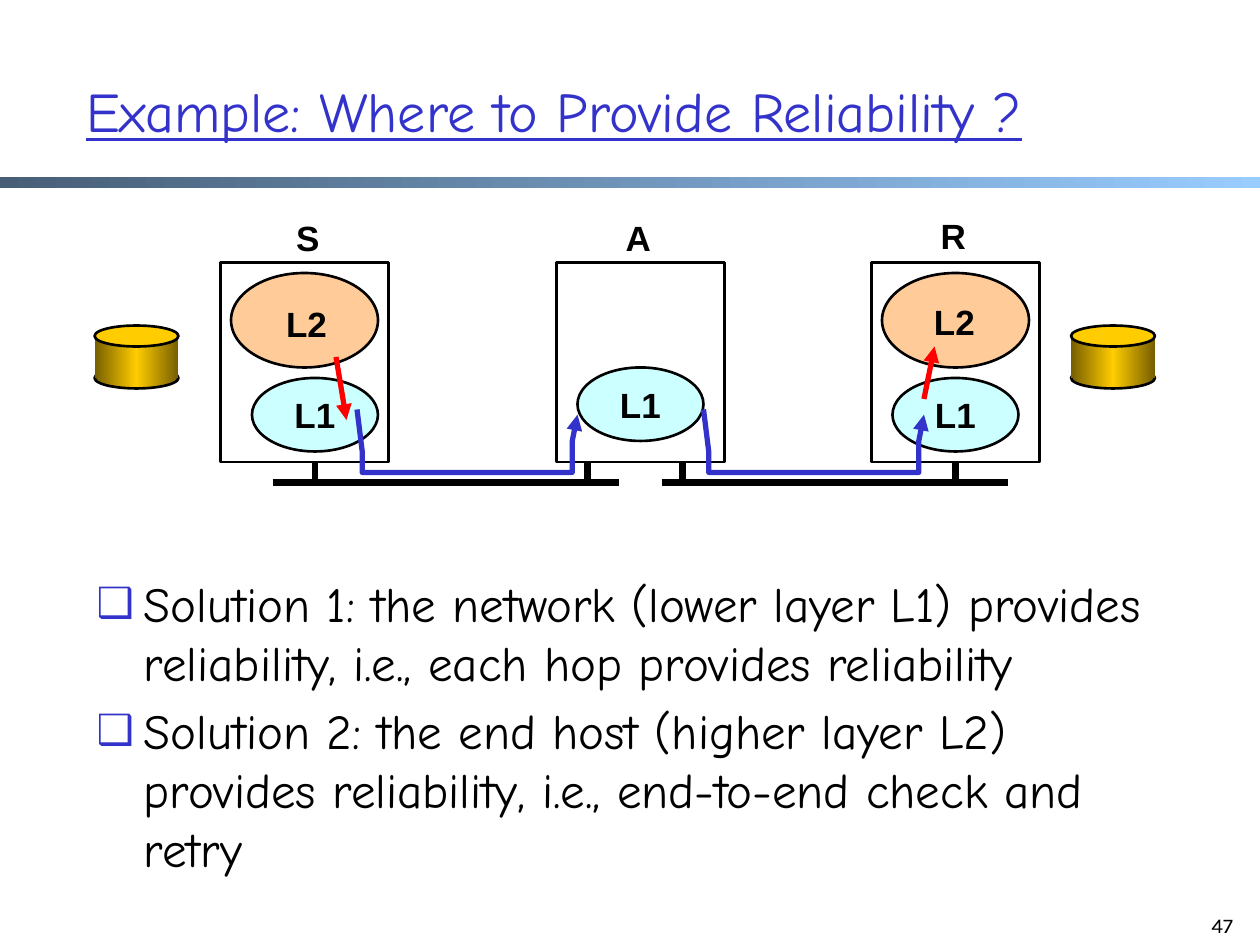
from dataclasses import dataclass
from lxml.etree import SubElement as Sub
from pptx import Presentation
from pptx.dml.color import RGBColor as Rgb
from pptx.enum.shapes import MSO_CONNECTOR as Conn, MSO_SHAPE as Kind
from pptx.enum.text import MSO_ANCHOR as Anchor, MSO_AUTO_SIZE as Fit, PP_ALIGN as Align
from pptx.oxml.ns import qn
from pptx.util import Pt

PX = 914400 // 120


@dataclass(frozen=True)
class Theme:
    ink: str = "000000"
    blue: str = "3333CC"
    red: str = "FF0000"
    peach: str = "FFCC99"
    aqua: str = "CCFFFF"
    gold: str = "FFCC00"
    metal: tuple = ("765E00", "FFCC00", "765E00")
    bar: tuple = ("475E76", "99CCFF")
    hand: str = "Comic Neue"
    sans: str = "Arial"
    foot: str = "Karla"
    title: int = 32
    body: int = 28
    label: int = 20
    page: int = 12


look = Theme()
deck = Presentation()
deck.slide_width, deck.slide_height = 1200 * PX, 900 * PX
slide = deck.slides.add_slide(deck.slide_layouts[1])
shapes = slide.shapes


def write(frame, text, face, size, color=look.ink, bold=False, align=Align.CENTER):
    frame.text = text
    for para in frame.paragraphs:
        para.alignment = align
        for run in para.runs:
            font = run.font
            font.name, font.size, font.bold = face, Pt(size), bold
            font.color.rgb = Rgb.from_string(color)


def draw(kind, box, fill=None, edge=True):
    shape = shapes.add_shape(kind, *[n * PX for n in box])
    shape.shadow.inherit = False
    if isinstance(fill, tuple):
        shape.fill.gradient()
        shape.fill.gradient_angle = 0
        stops = shape._element.spPr.find(qn("a:gradFill")).find(qn("a:gsLst"))
        for old in list(stops):
            stops.remove(old)
        for i, tone in enumerate(fill):
            stop = Sub(stops, qn("a:gs"), pos=str(100000 * i // (len(fill) - 1)))
            Sub(stop, qn("a:srgbClr"), val=tone)
    elif fill:
        shape.fill.solid()
        shape.fill.fore_color.rgb = Rgb.from_string(fill)
    else:
        shape.fill.background()
    if edge:
        shape.line.color.rgb = Rgb.from_string(look.ink)
        shape.line.width = Pt(1.5)
    else:
        shape.line.fill.background()
    return shape


draw(Kind.RECTANGLE, (0, 169, 1200, 10), look.bar, False)

title = shapes.title
title.left, title.top, title.width, title.height = [n * PX for n in (70, 30, 1080, 150)]
frame = title.text_frame
frame.auto_size, frame.vertical_anchor = Fit.NONE, Anchor.MIDDLE
write(frame, "Example: Where to Provide Reliability ?", look.hand, look.title, look.blue, align=Align.LEFT)
frame.paragraphs[0].runs[0].font.underline = True

body = slide.placeholders[1]
body.left, body.top, body.width, body.height = [n * PX for n in (80, 540, 1020, 290)]
frame = body.text_frame
frame.auto_size = Fit.NONE
points = (
    "Solution 1: the network (lower layer L1) provides reliability, i.e., each hop provides reliability",
    "Solution 2: the end host (higher layer L2) provides reliability, i.e., end-to-end check and retry",
)
write(frame, "\n".join(points), look.hand, look.body, align=Align.LEFT)
for para in frame.paragraphs:
    props = para._p.get_or_add_pPr()
    props.set("marL", str(45 * PX))
    props.set("indent", str(-45 * PX))
    Sub(Sub(props, qn("a:buClr")), qn("a:srgbClr"), val=look.blue)
    Sub(props, qn("a:buSzPct"), val="85000")
    Sub(props, qn("a:buChar"), char="❑")

for x in (90, 1020):
    draw(Kind.OVAL, (x, 350, 80, 20), look.metal)
    draw(Kind.RECTANGLE, (x, 320, 80, 40), look.metal, False)
    draw(Kind.OVAL, (x, 310, 80, 20), look.gold)

for x in (210, 530, 830):
    draw(Kind.RECTANGLE, (x, 250, 160, 190))
for x in (220, 840):
    draw(Kind.OVAL, (x, 260, 140, 90), look.peach)
for x, y in ((240, 360), (550, 350), (850, 360)):
    oval = draw(Kind.OVAL, (x, y, 120, 70), look.aqua)
    frame = oval.text_frame
    frame.word_wrap, frame.vertical_anchor = False, Anchor.MIDDLE
    write(frame, "L1", look.sans, look.label, bold=True)

labels = (("S", 293, 200), ("A", 608, 200), ("R", 908, 198), ("L2", 292, 282), ("L2", 909, 280))
for text, x, y in labels:
    frame = shapes.add_textbox((x - 32) * PX, y * PX, 64 * PX, 52 * PX).text_frame
    frame.word_wrap = False
    write(frame, text, look.sans, look.label, bold=True)

wires = [(((x, 460), (x + 330, 460)), look.ink, 4) for x in (260, 630)]
wires += [(((x, 440), (x, 460)), look.ink, 4) for x in (300, 560, 650, 910)]
wires += [(((320, 340), (330, 400)), look.red, 3), (((880, 380), (890, 330)), look.red, 3)]
route = ((340, 390), (345, 430), (345, 450), (545, 450), (545, 420), (550, 395))
wires += [(tuple((x + step, y) for x, y in route), look.blue, 3) for step in (0, 330)]
for path, color, width in wires:
    if len(path) == 2:
        wire = shapes.add_connector(Conn.STRAIGHT, *[n * PX for dot in path for n in dot])
    else:
        form = shapes.build_freeform(*path[0], scale=PX)
        form.add_line_segments(path[1:], close=False)
        wire = form.convert_to_shape()
        wire.fill.background()
    wire.line.color.rgb = Rgb.from_string(color)
    wire.line.width = Pt(width)
    if color != look.ink:
        Sub(wire.line._get_or_add_ln(), qn("a:tailEnd"), type="triangle")
    Sub(wire._element.spPr, qn("a:effectLst"))

frame = shapes.add_textbox(1126 * PX, 863 * PX, 60 * PX, 60 * PX).text_frame
frame.word_wrap = True
write(frame, "47", look.foot, look.page, align=Align.RIGHT)

deck.save("out.pptx")
